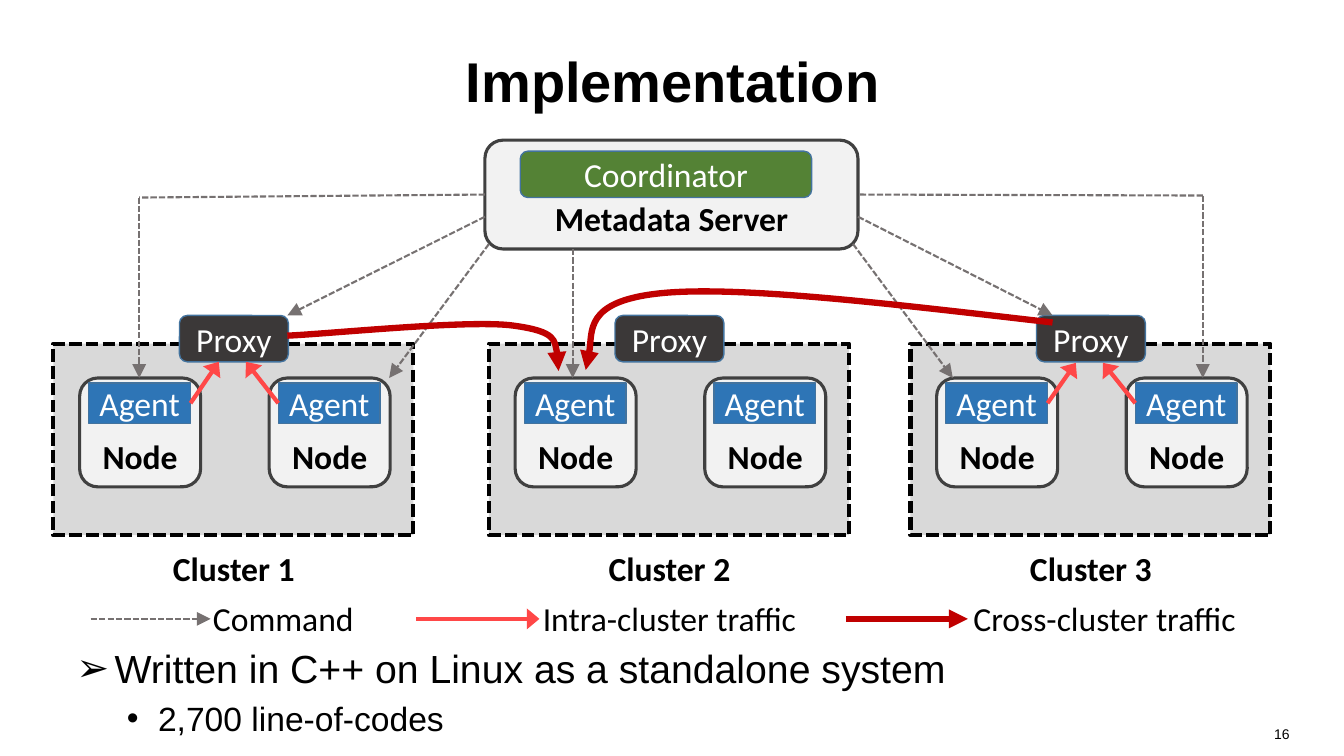
from pptx import Presentation
from pptx.dml.color import RGBColor
from pptx.enum.dml import MSO_LINE
from pptx.enum.shapes import MSO_CONNECTOR, MSO_SHAPE
from pptx.enum.text import MSO_ANCHOR, PP_ALIGN
from pptx.oxml.ns import qn
from pptx.util import Inches, Pt
from lxml.etree import SubElement

BLACK = RGBColor(0x00, 0x00, 0x00)
WHITE = RGBColor(0xFF, 0xFF, 0xFF)
SILVER = RGBColor(0xD9, 0xD9, 0xD9)
PALE = RGBColor(0xF2, 0xF2, 0xF2)
SLATE = RGBColor(0x40, 0x40, 0x40)
COAL = RGBColor(0x3B, 0x38, 0x38)
NAVY = RGBColor(0x43, 0x73, 0x9E)
BLUE = RGBColor(0x2E, 0x75, 0xB6)
GREEN = RGBColor(0x54, 0x82, 0x35)
GRAY = RGBColor(0x76, 0x71, 0x71)
CORAL = RGBColor(0xFF, 0x47, 0x47)
RED = RGBColor(0xC0, 0x00, 0x00)

RECT, ROUND = MSO_SHAPE.RECTANGLE, MSO_SHAPE.ROUNDED_RECTANGLE
MID, LOW = MSO_ANCHOR.MIDDLE, MSO_ANCHOR.BOTTOM
TITLE = "Implementation"
PAGE = "16"
POINTS = [
    ("Written in C++ on Linux as a standalone system", "➢", 28, 0.38, 0.38, 0),
    ("2,700 line-of-codes", "•", 24, 0.81, 0.31, 5),
]
CLUSTERS = [("Cluster 1", 0.53), ("Cluster 2", 4.85), ("Cluster 3", 9.03)]
NODES = [0.26, 2.14]

PLAIN = {"kind": ROUND, "fill": None, "edge": None, "anchor": MID, "color": BLACK, "bold": False}
LABEL = PLAIN | {"bold": True}
HOST = LABEL | {"fill": PALE, "edge": (SLATE, 2.25, None), "anchor": LOW}
ZONE = PLAIN | {"kind": RECT, "fill": SILVER, "edge": (BLACK, 3, MSO_LINE.SQUARE_DOT)}
PROXY = PLAIN | {"fill": COAL, "edge": (NAVY, 1, None), "color": WHITE}
AGENT = PROXY | {"kind": RECT, "fill": BLUE}
COORD = PROXY | {"fill": GREEN}

COMMAND = (GRAY, 1.5, MSO_LINE.SQUARE_DOT)
INTRA = (CORAL, 3, None)
CROSS = (RED, 4.5, None)
HEADS = {COMMAND: ("lg", "lg"), INTRA: ("lg", "med"), CROSS: ("med", "med")}
LINKS = [
    (COMMAND, True, [
        (4.81, 2.15, 2.85, 3.13), (8.46, 2.42, 9.45, 3.75), (4.85, 2.42, 3.86, 3.75),
        (1.38, 1.96, 1.38, 3.75), (11.93, 1.94, 11.93, 3.75), (8.51, 2.15, 10.44, 3.13),
        (5.68, 2.47, 5.68, 3.75)]),
    (COMMAND, False, [(4.81, 1.93, 1.38, 1.96), (11.93, 1.94, 8.51, 1.93)]),
    (INTRA, True, [
        (1.89, 4, 2.17, 3.59), (2.76, 4, 2.44, 3.59),
        (10.39, 4, 10.67, 3.6), (11.26, 4, 10.94, 3.6)]),
]
CURVES = [
    [(10.44, 3.2), (8.88, 3.02), (7.32, 2.83), (6.55, 2.91), (5.78, 2.99), (5.86, 3.59), (5.81, 3.67)],
    [(2.85, 3.33), (3.29, 3.31), (4.65, 3.17), (5.09, 3.23), (5.53, 3.29), (5.54, 3.48), (5.54, 3.68)],
]
LEGEND = [
    ("Command", COMMAND, 0.9, 2.09, 1.98, 1.66),
    ("Intra-cluster traffic", INTRA, 4.13, 5.35, 5.21, 2.86),
    ("Cross-cluster traffic", CROSS, 8.39, 9.6, 9.49, 2.93),
]

deck = Presentation()
deck.slide_width, deck.slide_height = Inches(13.33), Inches(7.5)
slide = deck.slides.add_slide(deck.slide_layouts[6])
shapes = slide.shapes


def assign(item, values):
    for name, value in values.items():
        setattr(item, name, value)


def style(font, face, size, color, bold=False):
    assign(font, {"name": face, "size": Pt(size), "bold": bold})
    font.color.rgb = color


def stroke(line, look):
    color, width, dash = look
    line.color.rgb = color
    assign(line, {"width": Pt(width), "dash_style": dash})


def point(line, look):
    wide, deep = HEADS[look]
    SubElement(line._get_or_add_ln(), qn("a:tailEnd"), type="triangle", w=wide, len=deep)


def box(text, look, x, y, w, h):
    shape = shapes.add_shape(look["kind"], *map(Inches, (x, y, w, h)))
    shape.shadow.inherit = False
    if look["fill"] is None:
        shape.fill.background()
    else:
        shape.fill.solid()
        shape.fill.fore_color.rgb = look["fill"]
    if look["edge"]:
        stroke(shape.line, look["edge"])
    else:
        shape.line.fill.background()
    frame = shape.text_frame
    assign(frame, {"word_wrap": True, "vertical_anchor": look["anchor"],
                   "margin_left": 0, "margin_right": 0})
    if text:
        para = frame.paragraphs[0]
        assign(para, {"text": text, "alignment": PP_ALIGN.CENTER})
        style(para.runs[0].font, "Calibri", 24, look["color"], look["bold"])


def link(look, arrow, ends):
    wire = shapes.add_connector(MSO_CONNECTOR.STRAIGHT, *map(Inches, ends))
    stroke(wire.line, look)
    if arrow:
        point(wire.line, look)
    SubElement(wire._element.spPr, qn("a:effectLst"))


def curve(look, spots):
    start, *rest = [(Inches(x), Inches(y)) for x, y in spots]
    pen = shapes.build_freeform(*start)
    pen.add_line_segments(rest, close=False)
    shape = pen.convert_to_shape()
    shape.shadow.inherit = False
    shape.fill.background()
    stroke(shape.line, look)
    point(shape.line, look)
    route = next(shape._element.iter(qn("a:path")))
    steps = route.findall(qn("a:lnTo"))
    for i in range(0, len(steps), 3):
        bend = SubElement(route, qn("a:cubicBezTo"))
        for step in steps[i:i + 3]:
            bend.append(step[0])
            route.remove(step)


def note(x, y, w, h, anchor=MSO_ANCHOR.TOP):
    frame = shapes.add_textbox(*map(Inches, (x, y, w, h))).text_frame
    assign(frame, {"word_wrap": True, "vertical_anchor": anchor})
    return frame


for text, place, size, align, bold, anchor in [
    (TITLE, (0.67, 0.17, 12, 1.25), 40, PP_ALIGN.CENTER, True, MID),
    (PAGE, (9.78, 7.15, 3.11, 0.35), 10, PP_ALIGN.RIGHT, False, MSO_ANCHOR.TOP),
]:
    para = note(*place, anchor).paragraphs[0]
    assign(para, {"text": text, "alignment": align})
    style(para.runs[0].font, "Arial", size, BLACK, bold)

body = note(0.66, 6.34, 12, 1.09)
for i, (text, mark, size, left, hang, gap) in enumerate(POINTS):
    para = body.add_paragraph() if i else body.paragraphs[0]
    assign(para, {"text": text, "level": i})
    if gap:
        para.space_before = Pt(gap)
    props = para._p.get_or_add_pPr()
    props.set("marL", str(Inches(left)))
    props.set("indent", str(-Inches(hang)))
    SubElement(props, qn("a:buFont"), typeface="Arial")
    SubElement(props, qn("a:buChar"), char=mark)
    style(para.runs[0].font, "Arial", size, BLACK)

for name, x in CLUSTERS:
    box("", ZONE, x, 3.41, 3.57, 1.9)
    box(name, LABEL, x + 1.02, 5.33, 1.54, 0.61)
    box("Proxy", PROXY, x + 1.25, 3.13, 1.08, 0.46)
    for step in NODES:
        box("Node", HOST, x + step, 3.75, 1.2, 1.08)
        box("Agent", AGENT, x + step + 0.09, 3.8, 1.01, 0.4)

box("Metadata Server", HOST, 4.81, 1.39, 3.7, 1.08)
box("Coordinator", COORD, 5.16, 1.5, 2.89, 0.46)

for look, arrow, group in LINKS:
    for ends in group:
        link(look, arrow, ends)
for spots in CURVES:
    curve(CROSS, spots)
for text, look, start, end, x, w in LEGEND:
    link(look, True, (start, 6.14, end, 6.14))
    box(text, PLAIN, x, 5.93, w, 0.41)

deck.save("out.pptx")
